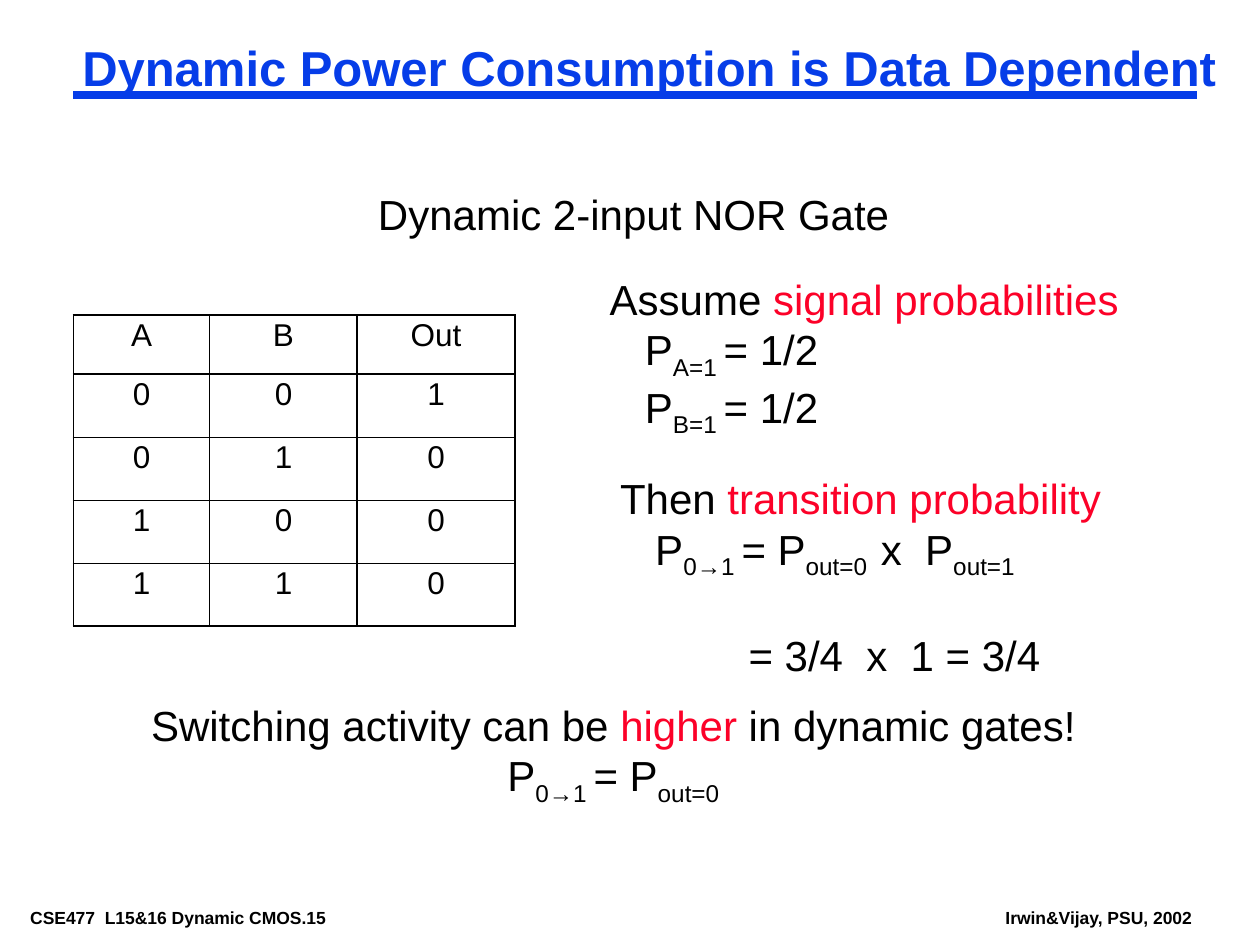
from lxml.etree import SubElement
from pptx import Presentation
from pptx.dml.color import RGBColor
from pptx.enum.shapes import MSO_CONNECTOR
from pptx.enum.text import MSO_ANCHOR, PP_ALIGN
from pptx.oxml import parse_xml
from pptx.oxml.ns import nsdecls, qn
from pptx.util import Cm, Pt

COLORS = {"ink": "000000", "blue": "063DE8", "red": "FC0128"}
THICK, THIN = 1.08, 0.45


class Deck:
    def __init__(self, font="Arial"):
        self.font = font
        self.prs = Presentation()
        self.prs.slide_width, self.prs.slide_height = Cm(25.4), Cm(19.05)
        self.slide = self.prs.slides.add_slide(self.prs.slide_layouts[6])

    def style(self, run, size, color="ink", bold=False):
        run.font.name = self.font
        run.font.size = Pt(size)
        run.font.bold = bold
        run.font.color.rgb = RGBColor.from_string(COLORS[color])

    def frame(self, box, inset=(0, 0), wrap=False):
        """Add an empty text box; box and inset are in centimetres."""
        frame = self.slide.shapes.add_textbox(*map(Cm, box)).text_frame
        frame.word_wrap = wrap
        frame.vertical_anchor = MSO_ANCHOR.TOP
        frame.margin_left = frame.margin_right = Cm(inset[0])
        frame.margin_top = frame.margin_bottom = Cm(inset[1])
        return frame

    def label(self, text, box, size, color="ink", bold=True, inset=(0.18, 0.08),
              wrap=False, spacing=1.0):
        para = self.frame(box, inset, wrap).paragraphs[0]
        para.text = text
        para.line_spacing = spacing
        self.style(para.runs[0], size, color, bold)

    def lines(self, rows, box, inset=(0, 0), align=PP_ALIGN.LEFT):
        """Write rows of (indent, space before, parts); a part is (text, kind)."""
        frame = self.frame(box, inset)
        for i, (indent, before, parts) in enumerate(rows):
            para = frame.add_paragraph() if i else frame.paragraphs[0]
            para.alignment = align
            if indent:
                para._p.get_or_add_pPr().set("marL", str(Cm(indent)))
            if before:
                para.space_before = Pt(before)
            for text, kind in parts:
                run = para.add_run()
                run.text = text
                self.style(run, 24, "red" if kind == "red" else "ink")
                if kind == "sub":
                    run._r.get_or_add_rPr().set("baseline", "-25000")

    def rule(self, left, right, top, color, width):
        line = self.slide.shapes.add_connector(
            MSO_CONNECTOR.STRAIGHT, Cm(left), Cm(top), Cm(right), Cm(top))
        line.line.color.rgb = RGBColor.from_string(COLORS[color])
        line.line.width = Pt(width)
        SubElement(line._element.spPr, qn("a:effectLst"))

    def edges(self, cell, widths):
        """Draw the left, right, top and bottom borders of a cell."""
        props = cell._tc.get_or_add_tcPr()
        for i, (side, width) in enumerate(zip("LRTB", widths)):
            props.insert(i, parse_xml(
                f'<a:ln{side} {nsdecls("a")} w="{int(Pt(width))}"><a:solidFill>'
                f'<a:srgbClr val="{COLORS["ink"]}"/></a:solidFill></a:ln{side}>'))

    def table(self, data, left, top, cols, rows, across, down):
        """Across and down give the width of each vertical and horizontal line."""
        table = self.slide.shapes.add_table(
            len(rows), len(cols), Cm(left), Cm(top), Cm(sum(cols)), Cm(sum(rows))).table
        table.first_row = table.horz_banding = False
        for col, width in zip(table.columns, cols):
            col.width = Cm(width)
        for r, height in enumerate(rows):
            table.rows[r].height = Cm(height)
            for c, text in enumerate(data[r]):
                cell = table.cell(r, c)
                cell.fill.background()
                self.edges(cell, across[c:c + 2] + down[r:r + 2])
                para = cell.text_frame.paragraphs[0]
                para.text = text
                para.alignment = PP_ALIGN.CENTER
                para.line_spacing = 0.9
                self.style(para.runs[0], 18)


def given(name):
    return 0.71, 0, [("P", ""), (f"{name}=1 ", "sub"), ("= 1/2", "")]


def main():
    deck = Deck()
    deck.label("CSE477  L15&16 Dynamic CMOS.15", (0.43, 18.21, 7.62, 0.56), 10, wrap=True)
    deck.label("Irwin&Vijay, PSU, 2002", (20.09, 18.21, 4.14, 0.56), 10)
    deck.rule(1.48, 24.13, 1.91, "blue", 4.5)
    deck.label("Dynamic Power Consumption is Data Dependent",
               (1.48, 0.84, 23.92, 1.17), 28, "blue", wrap=True, spacing=0.87)

    pairs = [(a, b) for a in (0, 1) for b in (0, 1)]
    truth = [("A", "B", "Out")]
    truth += [(str(a), str(b), str(int(not (a or b)))) for a, b in pairs]
    deck.table(truth, 1.48, 6.35, (2.75, 2.97, 3.18), [1.19] + [1.27] * 4,
               [THICK, THIN, THICK, THICK], [THICK] * 2 + [THIN] * 3 + [THICK])

    deck.label("Dynamic 2-input NOR Gate", (7.62, 3.81, 10.31, 1.02), 24,
               bold=False, inset=(0, 0))
    deck.lines([(0, 0, [("Assume ", ""), ("signal probabilities", "red")]),
                given("A"), given("B")], (12.29, 5.51, 10.26, 3.33))

    change = [("P", ""), ("0→1 ", "sub"), ("= P", "")]
    deck.lines([(0, 0, [("Then ", ""), ("transition probability", "red")]),
                (0.71, 0, change + [("out=0  ", "sub"), ("x  P", ""), ("out=1", "sub")]),
                (2.59, 28, [("= 3/4  x  1 = 3/4", "")])], (12.5, 9.53, 9.7, 4.22))
    deck.lines([(0, 0, [("Switching activity can be ", ""), ("higher", "red"),
                        (" in dynamic gates!", "")]),
                (0, 0, change + [("out=0", "sub")])],
               (2.79, 13.97, 19.15, 3.58), (0.25, 0.13), PP_ALIGN.CENTER)
    deck.prs.save("out.pptx")


if __name__ == "__main__":
    main()
